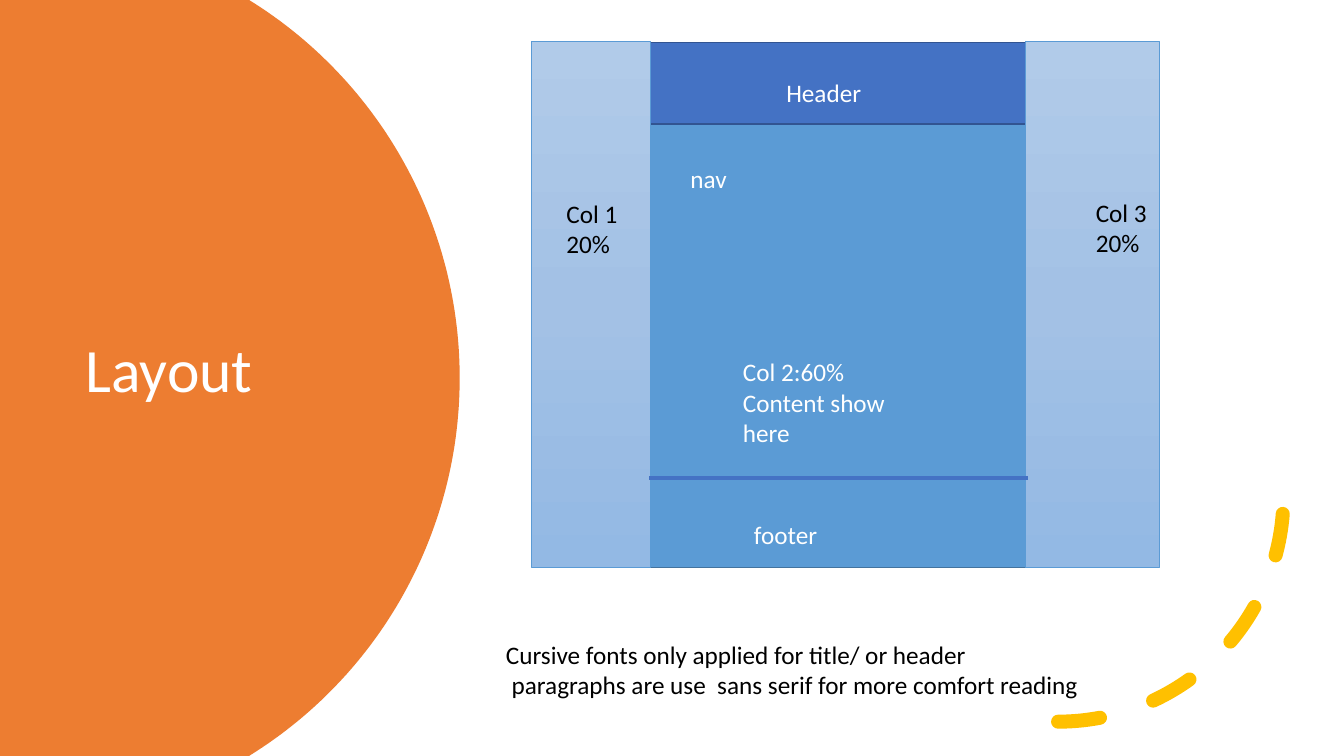
from copy import deepcopy
from math import asin, cos, sin

from pptx import Presentation
from pptx.dml.color import RGBColor
from pptx.enum.dml import MSO_LINE
from pptx.enum.shapes import MSO_CONNECTOR, MSO_SHAPE
from pptx.enum.text import MSO_ANCHOR, MSO_AUTO_SIZE, PP_ALIGN
from pptx.oxml.ns import qn
from pptx.util import Inches, Pt

RECTANGLE, ARC = MSO_SHAPE.RECTANGLE, MSO_SHAPE.ARC
STRAIGHT, DASH = MSO_CONNECTOR.STRAIGHT, MSO_LINE.DASH
LEFT, TOP, MIDDLE = PP_ALIGN.LEFT, MSO_ANCHOR.TOP, MSO_ANCHOR.MIDDLE
NO_AUTOFIT = MSO_AUTO_SIZE.NONE

# Content
FONT = "Calibri"
COLORS = {
    "white": "FFFFFF", "black": "000000", "orange": "ED7D31", "yellow": "FFC000",
    "content": "5B9BD5", "content edge": "43739E",
    "header": "4472C4", "header edge": "325491",
}
COLUMN_GRADIENT = [(0, "B1CBE9"), (0.5, "A3C1E5"), (1, "93B9E4")]
TITLE = "Layout"
TITLE_BOX = (0.75, 1.26, 3.5, 4.88)
CENTER_PANELS = [
    ((6.44, 1.22, 3.79, 4.41), "content"),
    ((6.44, 0.42, 3.79, 0.81), "header"),
]
SIDE_COLUMNS = [(5.27, 0.41, 1.18, 5.22), (10.17, 0.41, 1.33, 5.22)]
LABELS = [
    ((7.7, 0.72, 1.11, 0.41), "white", ["Header"]),
    ((5.52, 1.92, 0.85, 0.71), "black", ["Col 1", "20%"]),
    ((10.77, 1.91, 0.84, 1.03), "black", ["Col 3", "20%"]),
    ((7.27, 3.49, 2.02, 1.01), "white", ["Col 2:60%", "Content show here"]),
    ((7.38, 5.1, 1.8, 0.41), "white", ["footer"]),
    ((6.75, 1.57, 1.4, 0.41), "white", ["nav"]),
    ((4.92, 6.29, 6.13, 0.71), "black", [
        "Cursive fonts only applied for title/ or header",
        " paragraphs are use  sans serif for more comfort reading",
    ]),
]
FOOTER_RULE = (6.44, 10.2, 4.74)
YELLOW_ARC_BOX = (8.26, 2.69, 4.47, 4.47)
SLIDE_WIDTH, SLIDE_HEIGHT = 13.33, 7.5
CIRCLE_X, CIRCLE_RADIUS, CIRCLE_STEPS = 0.15, 4.41, 120


def color(name):
    return RGBColor.from_string(COLORS[name])


def inches(box):
    return [Inches(length) for length in box]


def write_text(frame, lines, *, color_name, size=18, anchor=TOP, spacing=1.0):
    frame.word_wrap = True
    frame.auto_size = NO_AUTOFIT
    frame.vertical_anchor = anchor
    frame.text = "\n".join(lines)
    for paragraph in frame.paragraphs:
        paragraph.alignment = LEFT
        paragraph.line_spacing = spacing
        font = paragraph.runs[0].font
        font.name, font.size = FONT, Pt(size)
        font.color.rgb = color(color_name)


def add_panel(shapes, box, edge, width, kind=RECTANGLE):
    shape = shapes.add_shape(kind, *inches(box))
    shape.shadow.inherit = False
    shape.line.color.rgb = color(edge)
    shape.line.width = Pt(width)
    return shape


def fill_gradient(shape, stops):
    shape.fill.gradient()
    shape.fill.gradient_angle = 270
    stop_list = shape.fill.gradient_stops
    first = shape._element.spPr.find(".//" + qn("a:gs"))
    for _ in range(len(stops) - len(stop_list)):
        first.addnext(deepcopy(first))
    for stop, (position, value) in zip(shape.fill.gradient_stops, stops):
        stop.position = position
        stop.color.rgb = RGBColor.from_string(value)


presentation = Presentation()
presentation.slide_width = Inches(SLIDE_WIDTH)
presentation.slide_height = Inches(SLIDE_HEIGHT)
slide = presentation.slides.add_slide(presentation.slide_layouts[5])
shapes = slide.shapes

# Orange circle, cut off by the slide edges
middle = SLIDE_HEIGHT / 2
limit = asin(middle / CIRCLE_RADIUS)
angles = [limit * (2 * step / CIRCLE_STEPS - 1) for step in range(CIRCLE_STEPS + 1)]
outline = [(CIRCLE_X + CIRCLE_RADIUS * cos(angle), middle + CIRCLE_RADIUS * sin(angle))
           for angle in angles]
builder = shapes.build_freeform(0, 0)
builder.add_line_segments([inches(point) for point in outline + [(0, SLIDE_HEIGHT)]])
circle = builder.convert_to_shape()
circle.shadow.inherit = False
circle.fill.solid()
circle.fill.fore_color.rgb = color("orange")
circle.line.fill.background()

# Title, in front of the circle
title = shapes.title
title.left, title.top, title.width, title.height = inches(TITLE_BOX)
write_text(title.text_frame, [TITLE], color_name="white", size=44,
           anchor=MIDDLE, spacing=0.9)
circle._element.addnext(title._element)

# Dashed yellow arc
arc = add_panel(shapes, YELLOW_ARC_BOX, "yellow", 10, ARC)
arc.fill.background()
arc.line.dash_style = DASH
arc._element.spPr.find(qn("a:xfrm")).set("flipV", "1")
arc._element.spPr.find(qn("a:ln")).set("cap", "rnd")

# Page layout: middle panels, then side columns
for box, name in CENTER_PANELS:
    panel = add_panel(shapes, box, name + " edge", 1)
    panel.fill.solid()
    panel.fill.fore_color.rgb = color(name)
for box in SIDE_COLUMNS:
    fill_gradient(add_panel(shapes, box, "content", 0.5), COLUMN_GRADIENT)

# Rule above the footer
start, end, height = inches(FOOTER_RULE)
rule = shapes.add_connector(STRAIGHT, start, height, end, height)
rule.line.color.rgb = color("header")
rule.line.width = Pt(2.75)
properties = rule._element.spPr
properties.append(properties.makeelement(qn("a:effectLst"), {}))

# Labels
for box, color_name, lines in LABELS:
    label = shapes.add_textbox(*inches(box))
    write_text(label.text_frame, lines, color_name=color_name)

presentation.save("out.pptx")
